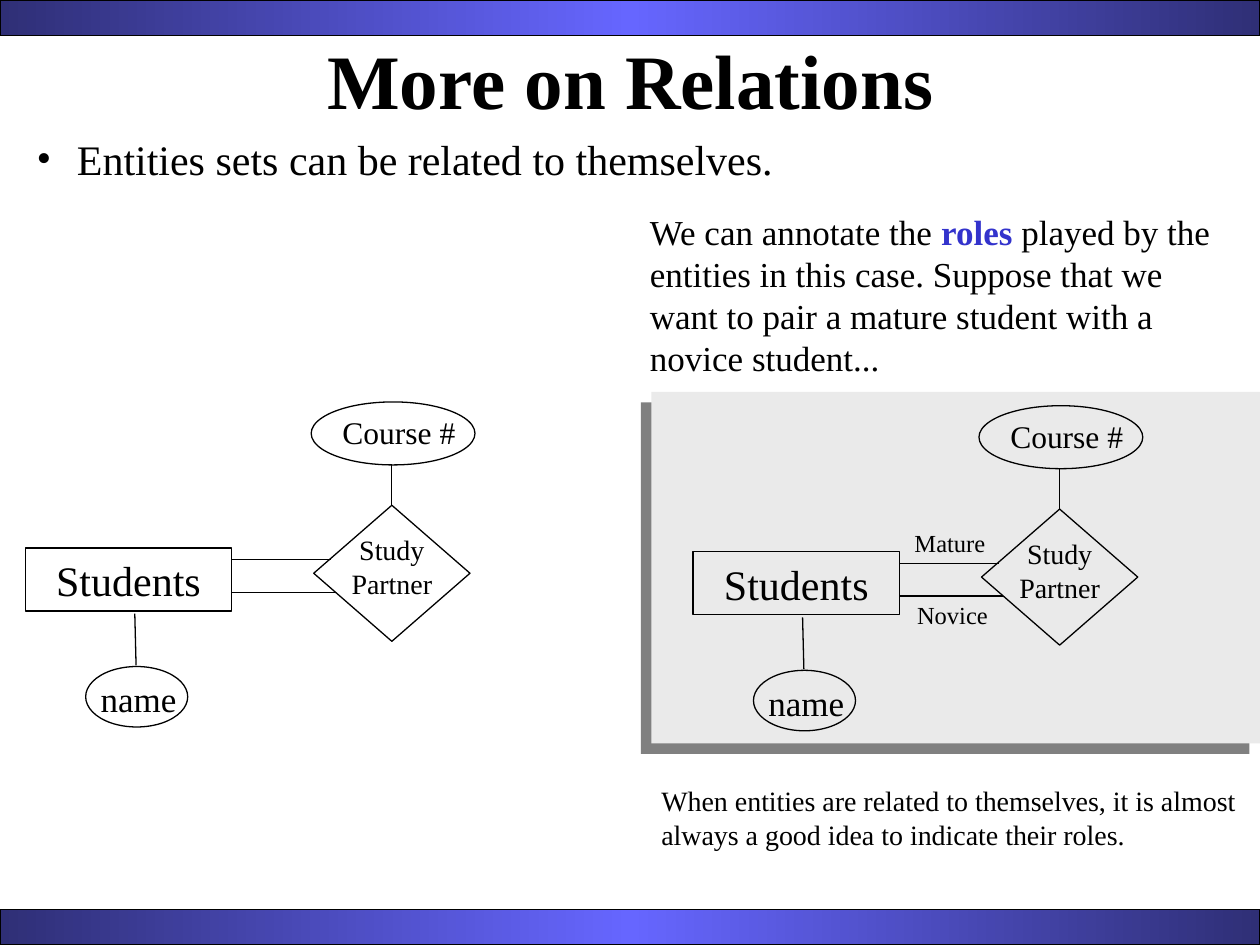
from collections import namedtuple
from copy import deepcopy

from lxml.etree import SubElement
from pptx import Presentation
from pptx.dml.color import RGBColor
from pptx.enum.shapes import MSO_CONNECTOR as Connector, MSO_SHAPE as Shape
from pptx.enum.text import MSO_ANCHOR as Anchor, MSO_AUTO_SIZE as AutoSize, PP_ALIGN as Align
from pptx.oxml.ns import qn
from pptx.util import Inches, Pt

FONT = "Times New Roman"
BLACK = "000000"
COLUMNS, ROWS = 100, 75
CELL = Inches(10) // COLUMNS
Box = namedtuple("Box", "left top width height")


def color(value):
    return RGBColor.from_string(value)


def cells(*counts):
    return [round(count * CELL) for count in counts]


def inside(box, left, top, width, height):
    return Box(box.left + left, box.top + top, width, height)


def style(para, size, align=Align.LEFT, bold=False):
    para.alignment = align
    para.space_before = Pt(0)
    font = para.font
    font.name, font.size, font.bold = FONT, Pt(size), bold
    font.color.rgb = color(BLACK)


def add_outline(shapes, kind, box):
    shape = shapes.add_shape(kind, *cells(*box))
    shape.shadow.inherit = False
    shape.fill.background()
    shape.line.color.rgb = color(BLACK)
    shape.line.width = Pt(0.75)
    return shape


def add_line(shapes, box, start, end):
    points = (box.left + start[0], box.top + start[1], box.left + end[0], box.top + end[1])
    line = shapes.add_connector(Connector.STRAIGHT, *cells(*points))
    line.line.color.rgb = color(BLACK)
    line.line.width = Pt(0.75)
    SubElement(line._element.spPr, qn("a:effectLst"))
    return line


def add_text(shapes, box, lines, size, align=Align.LEFT, wrap=False):
    frame = shapes.add_textbox(*cells(*box)).text_frame
    frame.word_wrap = wrap
    frame.auto_size = AutoSize.SHAPE_TO_FIT_TEXT
    frame.text = lines
    for para in frame.paragraphs:
        style(para, size, align)
    return frame


def add_bar(page, box):
    bar = add_outline(page.shapes, Shape.RECTANGLE, box)
    bar.fill.gradient()
    bar.fill.gradient_angle = 0
    stops = bar._element.find(".//" + qn("a:gsLst"))
    stops.insert(1, deepcopy(stops[0]))
    shades = ((0, "2F2F76"), (0.5, "6666FF"), (1, "2F2F76"))
    for stop, (position, shade) in zip(bar.fill.gradient_stops, shades):
        stop.position = position
        stop.color.rgb = color(shade)


def add_panel(page, box):
    panel = add_outline(page.shapes, Shape.RECTANGLE, box)
    panel.fill.solid()
    panel.fill.fore_color.rgb = color("EAEAEA")
    panel.line.fill.background()
    effects = panel._element.spPr.find(qn("a:effectLst"))
    shadow = SubElement(effects, qn("a:outerShdw"), dist=str(Pt(8.5)), dir=str(135 * 60000),
                        algn="ctr", rotWithShape="0")
    SubElement(shadow, qn("a:srgbClr"), val="808080")


def place(holder, box):
    holder.left, holder.top, holder.width, holder.height = cells(*box)
    holder.text_frame.auto_size = AutoSize.NONE
    holder.text_frame.word_wrap = True
    return holder.text_frame


def fill_title(page, box):
    frame = place(page.shapes.title, box)
    frame.text = "More on Relations"
    frame.vertical_anchor = Anchor.MIDDLE
    style(frame.paragraphs[0], 44, Align.CENTER, True)


def fill_list(page, box):
    frame = place(page.placeholders[1], box)
    frame.text = "Entities sets can be related to themselves."
    frame.vertical_anchor = Anchor.TOP
    para = frame.paragraphs[0]
    props = para._p.get_or_add_pPr()
    indent = Inches(0.32)
    props.set("marL", str(indent))
    props.set("indent", str(-indent))
    SubElement(props, qn("a:buFont"), typeface=FONT)
    SubElement(props, qn("a:buChar"), char="•")
    style(para, 24)


def add_diagram(page, box, roles=()):
    shapes = page.shapes.add_group_shape().shapes

    students = add_outline(shapes, Shape.RECTANGLE, inside(box, 0, 11.6, 16.4, 5))
    frame = students.text_frame
    frame.text = "Students"
    frame.vertical_anchor = Anchor.MIDDLE
    style(frame.paragraphs[0], 24, Align.CENTER)

    add_outline(shapes, Shape.OVAL, inside(box, 4.8, 21, 8.1, 4.8))
    add_text(shapes, inside(box, 5, 21.4, 8, 4.4), "name", 20)
    partner = add_outline(shapes, Shape.DIAMOND, inside(box, 22.9, 8.2, 12.4, 10.8))
    add_text(shapes, inside(box, 24.9, 9.9, 8.4, 6.4), "Study\nPartner", 16, Align.CENTER)
    add_outline(shapes, Shape.OVAL, inside(box, 22.7, 0, 13, 5))
    add_text(shapes, inside(box, 24.2, 0.4, 11.4, 4), "Course #", 18)

    add_line(shapes, box, (8.7, 16.8), (8.8, 20.9))
    add_line(shapes, box, (29.1, 5), (29.1, 8.2)).end_connect(partner, 0)
    add_line(shapes, box, (16.4, 12.5), (24.3, 12.5))
    add_line(shapes, box, (16.4, 15.1), (24.6, 15.1))

    for role, left, top in zip(roles, (16.6, 16.8), (9.2, 14.9)):
        add_text(shapes, inside(box, left, top, 7.6, 3.4), role, 14)


def add_roles_note(page, box):
    frame = add_text(page.shapes, box, "We can annotate the ", 20, wrap=True)
    para = frame.paragraphs[0]
    span = para.add_run()
    span.text = "roles"
    span.font.bold = True
    span.font.color.rgb = color("3333CC")
    para.add_run().text = (" played by the entities in this case. Suppose that we want "
                           "to pair a mature student with a novice student...")


def main():
    deck = Presentation()
    deck.slide_width, deck.slide_height = cells(COLUMNS, ROWS)
    page = deck.slides.add_slide(deck.slide_layouts[1])
    bar_height = 2.8
    for top in (0, ROWS - bar_height):
        add_bar(page, Box(0, top, COLUMNS, bar_height))
    fill_title(page, Box(1.7, 0, 96.7, 12.5))
    fill_list(page, Box(1.9, 10.1, 95.6, 5))
    add_panel(page, Box(51.7, 31.1, 48.3, 27.9))
    add_diagram(page, Box(2, 31.9, 35.7, 25.8))
    add_diagram(page, Box(55, 32.2, 35.7, 25.8), ("Mature", "Novice"))
    add_roles_note(page, Box(50.6, 16.2, 47.7, 14.4))
    add_text(page.shapes, Box(51.5, 61.7, 48.5, 6.4),
             "When entities are related to themselves, it is almost always a good idea "
             "to indicate their roles.", 16, wrap=True)
    deck.save("out.pptx")


if __name__ == "__main__":
    main()
